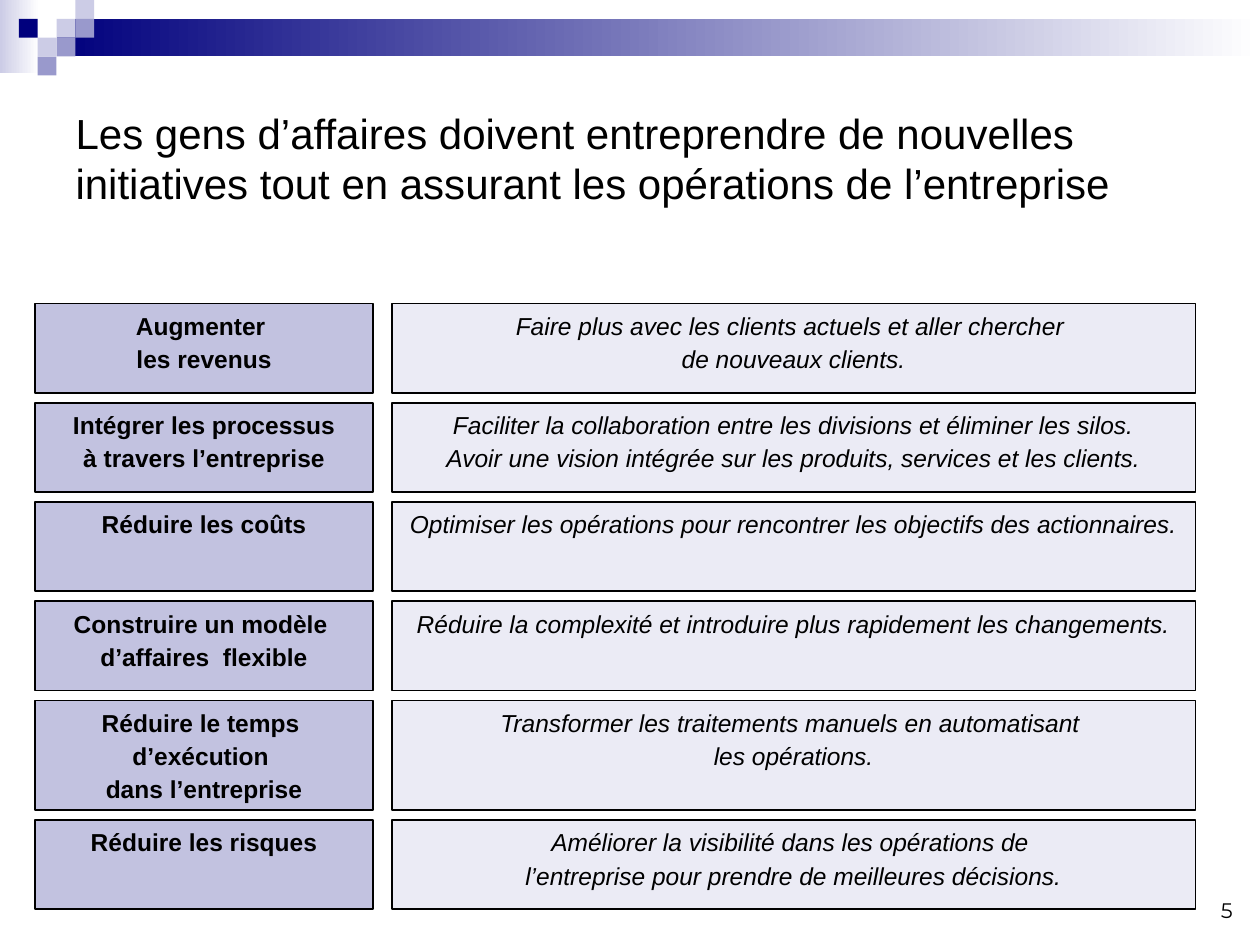
"""Build the slide on business initiatives and daily operations."""
from dataclasses import dataclass
from typing import Any

from pptx import Presentation
from pptx.dml.color import RGBColor
from pptx.enum.shapes import MSO_SHAPE
from pptx.enum.text import MSO_ANCHOR, PP_ALIGN
from pptx.util import Cm, Pt


@dataclass(frozen=True)
class Theme:
    """Colours, fonts and type sizes."""
    black: str = "000000"
    white: str = "FFFFFF"
    navy: str = "00007D"
    pale: str = "CCCCE6"
    mid: str = "9999CC"
    label: str = "C2C2E0"
    detail: str = "EBEBF5"
    sans: str = "Arial"
    digit: str = "Montserrat"
    head: int = 24
    text: int = 14
    foot: int = 12


@dataclass(frozen=True)
class Box:
    """Place and size in centimetres."""
    left: float
    top: float
    width: float
    height: float

    def emu(self) -> list[int]:
        """Return the four lengths for python-pptx."""
        return [Cm(n) for n in (self.left, self.top, self.width, self.height)]


@dataclass(frozen=True)
class Row:
    """One goal with its details."""
    goal: tuple[str, ...]
    detail: tuple[str, ...]
    height: float = 1.8


@dataclass(frozen=True)
class Tile:
    """One square of the corner pattern."""
    col: int
    line: int
    tint: str


THEME = Theme()
STEP = 0.38
GAP = 0.2
TILES = (
    Tile(3, 1, THEME.pale), Tile(4, 0, THEME.pale), Tile(4, 1, THEME.mid),
    Tile(2, 2, THEME.pale), Tile(1, 1, THEME.navy), Tile(3, 2, THEME.mid),
    Tile(2, 3, THEME.mid),
)
ROWS = (
    Row(("Augmenter ", "les revenus"),
        ("Faire plus avec les clients actuels et aller chercher ",
         "de nouveaux clients.")),
    Row(("Intégrer les processus", "à travers l’entreprise"),
        ("Faciliter la collaboration entre les divisions et éliminer les silos.",
         "Avoir une vision intégrée sur les produits, services et les clients.")),
    Row(("Réduire les coûts",),
        ("Optimiser les opérations pour rencontrer les objectifs des actionnaires.",)),
    Row(("Construire un modèle ", "d’affaires  flexible"),
        ("Réduire la complexité et introduire plus rapidement les changements.",)),
    Row(("Réduire le temps ", "d’exécution ", "dans l’entreprise"),
        ("Transformer les traitements manuels en automatisant ",
         "les opérations."), 2.21),
    Row(("Réduire les risques",),
        ("Améliorer la visibilité dans les opérations de ",
         "l’entreprise pour prendre de meilleures décisions.")),
)


def apply(item: Any, values: dict[str, Any]) -> None:
    """Set each attribute named in the format values."""
    for name, value in values.items():
        setattr(item, name, value)


def write(frame: Any, lines: tuple[str, ...], size: int, align: PP_ALIGN,
          face: str = THEME.sans, **style: bool) -> None:
    """Write one paragraph for each line."""
    for rank, line in enumerate(lines):
        para = frame.add_paragraph() if rank else frame.paragraphs[0]
        para.alignment = align
        if rank:
            para.space_before = Pt(2.2)
        run = para.add_run()
        run.text = line
        apply(run.font, {"name": face, "size": Pt(size), **style})
        run.font.color.rgb = RGBColor.from_string(THEME.black)


def block(slide: Any, box: Box, tint: str, fade: bool = False) -> Any:
    """Draw a plain or fading rectangle without outline."""
    shape = slide.shapes.add_shape(MSO_SHAPE.RECTANGLE, *box.emu())
    shape.shadow.inherit = False
    shape.line.fill.background()
    if fade:
        shape.fill.gradient()
        shape.fill.gradient_angle = 0
        for stop, shade in zip(shape.fill.gradient_stops, (tint, THEME.white)):
            stop.color.rgb = RGBColor.from_string(shade)
    else:
        shape.fill.solid()
        shape.fill.fore_color.rgb = RGBColor.from_string(tint)
    return shape


def card(slide: Any, box: Box, tint: str, lines: tuple[str, ...],
         **style: bool) -> None:
    """Draw an outlined rectangle with centred lines."""
    shape = block(slide, box, tint)
    shape.line.color.rgb = RGBColor.from_string(THEME.black)
    shape.line.width = Pt(1)
    apply(shape.text_frame, {"word_wrap": False, "margin_top": Cm(0.15),
                             "vertical_anchor": MSO_ANCHOR.TOP})
    write(shape.text_frame, lines, THEME.text, PP_ALIGN.CENTER, **style)


def banner(slide: Any) -> None:
    """Draw the top band and the corner pattern."""
    block(slide, Box(0, 0, 0.79, 1.47), THEME.pale, fade=True)
    block(slide, Box(3 * STEP, STEP, 25.4 - 3 * STEP, 2 * STEP), THEME.navy, fade=True)
    for tile in TILES:
        block(slide, Box(tile.col * STEP, tile.line * STEP, STEP, STEP), tile.tint)


def heading(slide: Any) -> None:
    """Fill the title and add the slide number."""
    title = slide.shapes.title
    apply(title, dict(zip(("left", "top", "width", "height"),
                          Box(1.27, 1.27, 22.86, 3.81).emu())))
    apply(title.text_frame, {"word_wrap": True, "vertical_anchor": MSO_ANCHOR.MIDDLE})
    write(title.text_frame,
          ("Les gens d’affaires doivent entreprendre de nouvelles initiatives "
           "tout en assurant les opérations de l’entreprise",),
          THEME.head, PP_ALIGN.LEFT)
    frame = slide.shapes.add_textbox(*Box(19.18, 17.45, 5.92, 1.27).emu()).text_frame
    apply(frame, {"word_wrap": True, "vertical_anchor": MSO_ANCHOR.BOTTOM})
    write(frame, ("5",), THEME.foot, PP_ALIGN.RIGHT, THEME.digit)


def main() -> None:
    """Build and save the slide."""
    deck = Presentation()
    apply(deck, {"slide_width": Cm(25.4), "slide_height": Cm(19.05)})
    slide = deck.slides.add_slide(deck.slide_layouts.get_by_name("Title Only"))
    banner(slide)
    heading(slide)
    top = 6.12
    for row in ROWS:
        card(slide, Box(0.71, top, 6.81, row.height), THEME.label, row.goal, bold=True)
        card(slide, Box(7.9, top, 16.2, row.height), THEME.detail, row.detail, italic=True)
        top += row.height + GAP
    deck.save("out.pptx")


if __name__ == "__main__":
    main()
